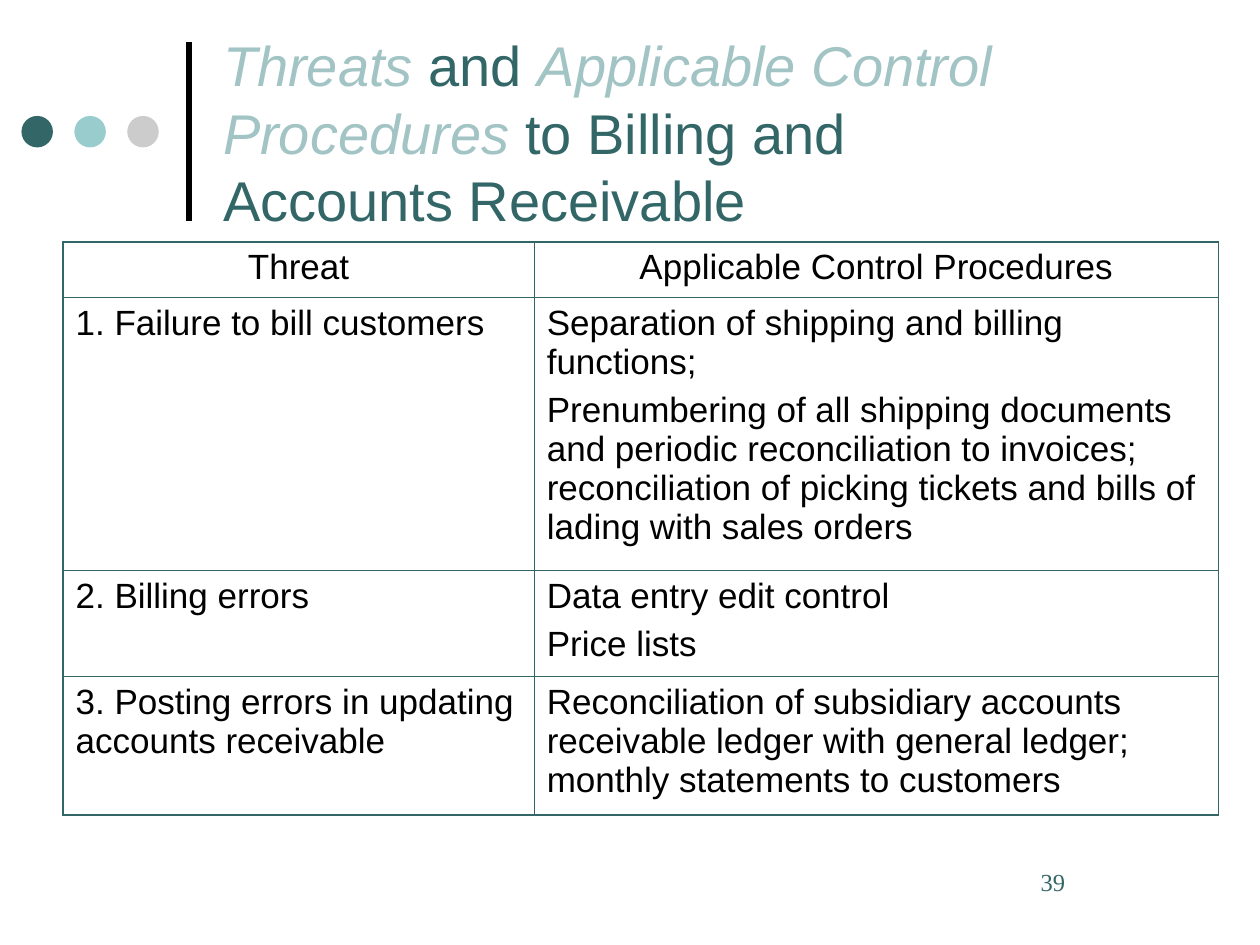
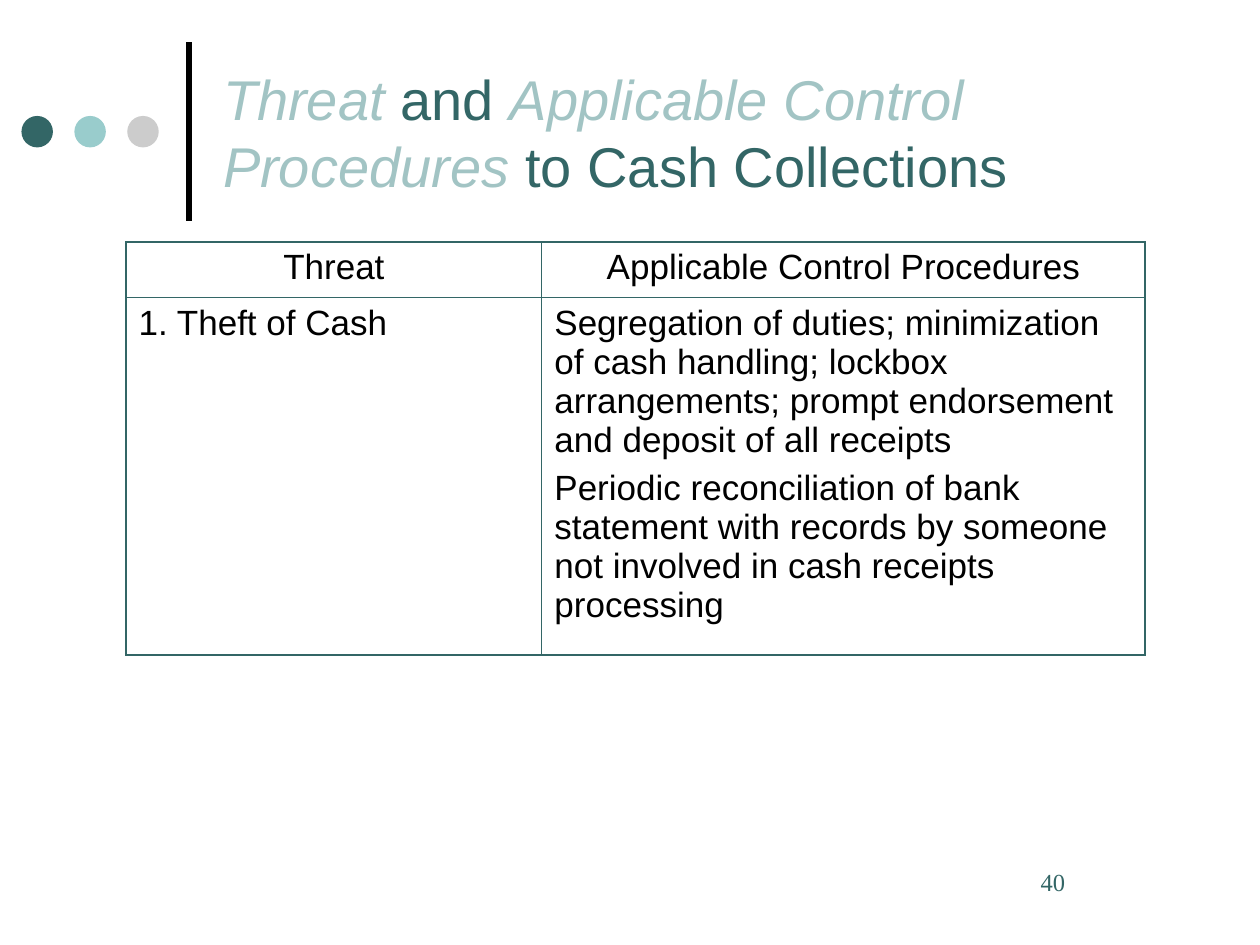
import pptx
import pptx.dml.color
import pptx.enum.shapes
import pptx.enum.text
import pptx.oxml
import pptx.oxml.ns
import pptx.util
from lxml import etree

Inches = pptx.util.Inches
Pt = pptx.util.Pt
PP_ALIGN = pptx.enum.text.PP_ALIGN
COLORS = {
    "teal": "336666",
    "aqua": "99CCCC",
    "gray": "CCCCCC",
    "mist": "A2C4C4",
    "black": "000000",
}
OUTER_RULE, INNER_RULE = 1.08, 0.45


def rgb(color):
    return pptx.dml.color.RGBColor.from_string(COLORS[color])


class ThreatDeck:
    def __init__(self):
        self.deck = pptx.Presentation()
        self.deck.slide_width = Inches(10)
        self.deck.slide_height = Inches(7.5)
        self.slide = None

    def start_slide(self, page):
        self.slide = self.deck.slides.add_slide(self.deck.slide_layouts[5])
        self.divider()
        for position, color in enumerate(("teal", "aqua", "gray")):
            self.dot(0.17 + 0.42 * position, color)
        self.page_number(page)

    def divider(self):
        divider = self.slide.shapes.add_connector(
            pptx.enum.shapes.MSO_CONNECTOR.STRAIGHT,
            Inches(1.5), Inches(1.75), Inches(1.5), Inches(0.33))
        divider.line.color.rgb = rgb("black")
        divider.line.width = Pt(3)
        etree.SubElement(divider.element.spPr, pptx.oxml.ns.qn("a:effectLst"))

    def dot(self, left, color):
        dot = self.slide.shapes.add_shape(
            pptx.enum.shapes.MSO_SHAPE.OVAL,
            Inches(left), Inches(0.92), Inches(0.25), Inches(0.25))
        dot.shadow.inherit = False
        dot.fill.solid()
        dot.fill.fore_color.rgb = rgb(color)
        dot.line.fill.background()

    def run(self, paragraph, words, size, color, font="Arial", italic=False):
        run = paragraph.add_run()
        run.text = words
        run.font.name = font
        run.font.size = Pt(size)
        run.font.italic = italic
        run.font.color.rgb = rgb(color)

    def page_number(self, page):
        footer = self.slide.shapes.add_textbox(
            Inches(7.92), Inches(6.83), Inches(1.42), Inches(0.5))
        footer.text_frame.word_wrap = True
        paragraph = footer.text_frame.paragraphs[0]
        paragraph._p.get_or_add_pPr().set("marL", str(Inches(0.24)))
        self.run(paragraph, str(page), 14, "teal", "Times New Roman")

    def title(self, threat_word, *subject_lines):
        heading = self.slide.shapes.title
        heading.left, heading.top = Inches(1.67), Inches(0.21)
        heading.width, heading.height = Inches(7.67), Inches(1.67)
        frame = heading.text_frame
        frame.auto_size = pptx.enum.text.MSO_AUTO_SIZE.NONE
        frame.vertical_anchor = pptx.enum.text.MSO_ANCHOR.MIDDLE
        paragraph = frame.paragraphs[0]
        paragraph.alignment = PP_ALIGN.LEFT
        self.run(paragraph, threat_word + " ", 32, "mist", italic=True)
        self.run(paragraph, "and ", 32, "teal")
        self.run(paragraph, "Applicable Control Procedures ", 32, "mist", italic=True)
        for number, words in enumerate(subject_lines):
            if number:
                paragraph.add_line_break()
            self.run(paragraph, words, 32, "teal")

    def borders(self, cell, edges):
        properties = cell._tc.get_or_add_tcPr()
        for position, (side, is_outer) in enumerate(edges.items()):
            width = Pt(OUTER_RULE if is_outer else INNER_RULE)
            properties.insert(position, pptx.oxml.parse_xml(
                f'<a:ln{side} {pptx.oxml.ns.nsdecls("a")} w="{width}">'
                f'<a:solidFill><a:srgbClr val="{COLORS["teal"]}"/></a:solidFill>'
                f'</a:ln{side}>'))

    def cell_text(self, cell, entries, is_header, hanging):
        cell.fill.background()
        cell.margin_left = cell.margin_right = Inches(0.1)
        cell.margin_top = cell.margin_bottom = Inches(0.05)
        frame = cell.text_frame
        for number, words in enumerate(entries):
            paragraph = frame.add_paragraph() if number else frame.paragraphs[0]
            paragraph.alignment = PP_ALIGN.CENTER if is_header else PP_ALIGN.LEFT
            paragraph.space_before = Pt(5 if number else 0)
            if hanging:
                properties = paragraph._p.get_or_add_pPr()
                properties.set("marL", str(Inches(0.54)))
                properties.set("indent", str(-Inches(0.54)))
            self.run(paragraph, words, 20, "black")

    def threat_table(self, left, widths, heights, threats):
        rows = [(["Threat"], ["Applicable Control Procedures"])]
        rows += [([threat], controls) for threat, controls in threats]
        table = self.slide.shapes.add_table(
            len(rows), 2, Inches(left), Inches(1.92),
            Inches(sum(widths)), Inches(sum(heights))).table
        table.first_row = table.horz_banding = False
        for column, width in zip(table.columns, widths):
            column.width = Inches(width)
        for row, height in zip(table.rows, heights):
            row.height = Inches(height)
        for r, row in enumerate(rows):
            for c, entries in enumerate(row):
                cell = table.cell(r, c)
                self.cell_text(cell, entries, r == 0, (r, c) == (1, 0))
                self.borders(cell, {"L": c == 0, "R": c == 1,
                                    "T": r == 0, "B": r == len(rows) - 1})


def main():
    show = ThreatDeck()

    show.start_slide(39)
    show.title("Threats", "to Billing and ", "Accounts Receivable")
    show.threat_table(0.5, (3.74, 5.43), (0.44, 2.17, 0.84, 1.1), [
        ("1. Failure to bill customers", [
            "Separation of shipping and billing functions;",
            "Prenumbering of all shipping documents and periodic reconciliation "
            "to invoices; reconciliation of picking tickets and bills of lading "
            "with sales orders"]),
        ("2. Billing errors", ["Data entry edit control", "Price lists"]),
        ("3. Posting errors in updating accounts receivable", [
            "Reconciliation of subsidiary accounts receivable ledger with general "
            "ledger; monthly statements to customers"]),
    ])

    show.start_slide(40)
    show.title("Threat", "to Cash Collections")
    show.threat_table(1, (3.3, 4.79), (0.44, 2.84), [
        ("1. Theft of Cash", [
            "Segregation of duties; minimization of cash handling; lockbox "
            "arrangements; prompt endorsement and deposit of all receipts",
            "Periodic reconciliation of bank statement with records by someone "
            "not involved in cash receipts processing"]),
    ])

    show.deck.save("out.pptx")


if __name__ == "__main__":
    main()
